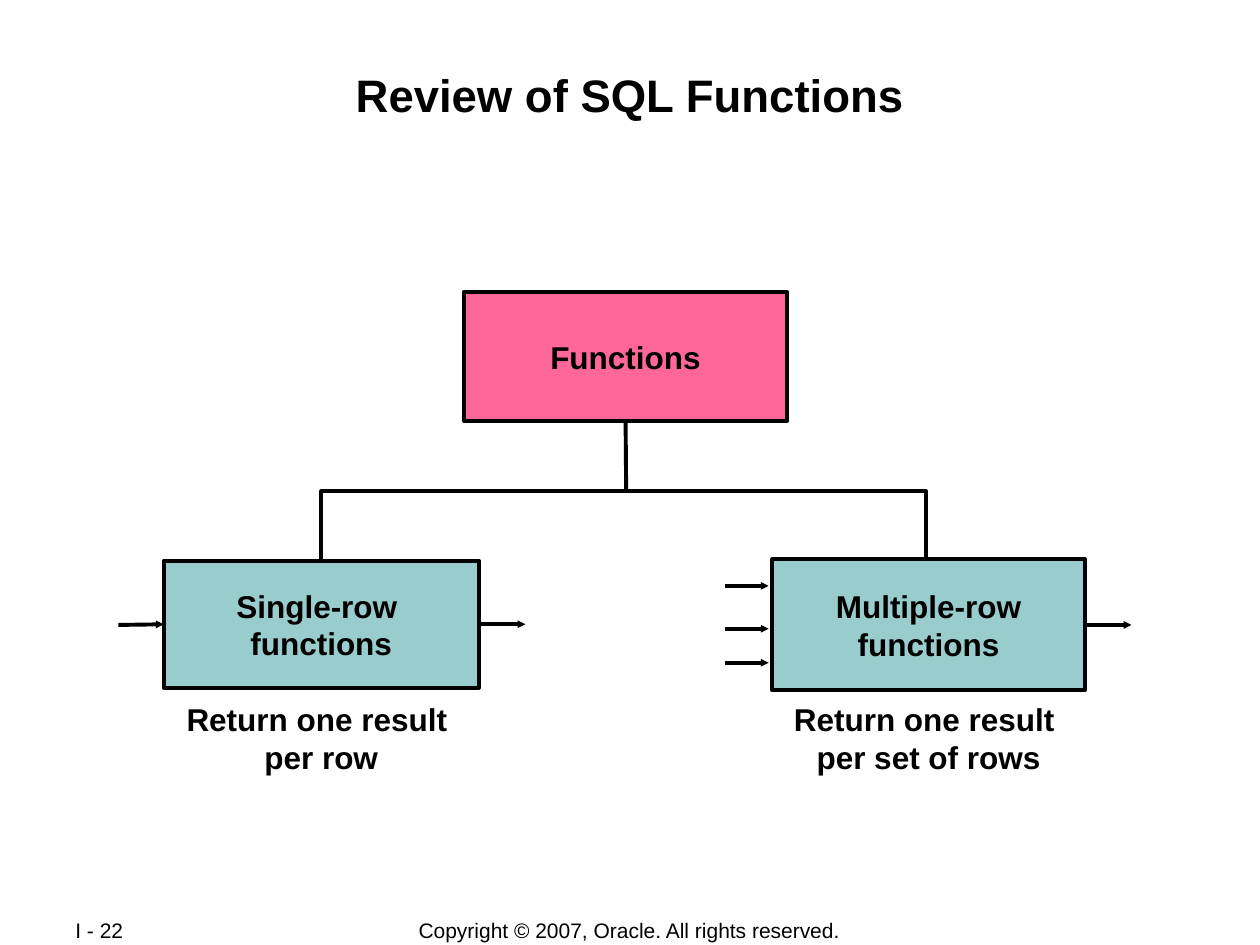
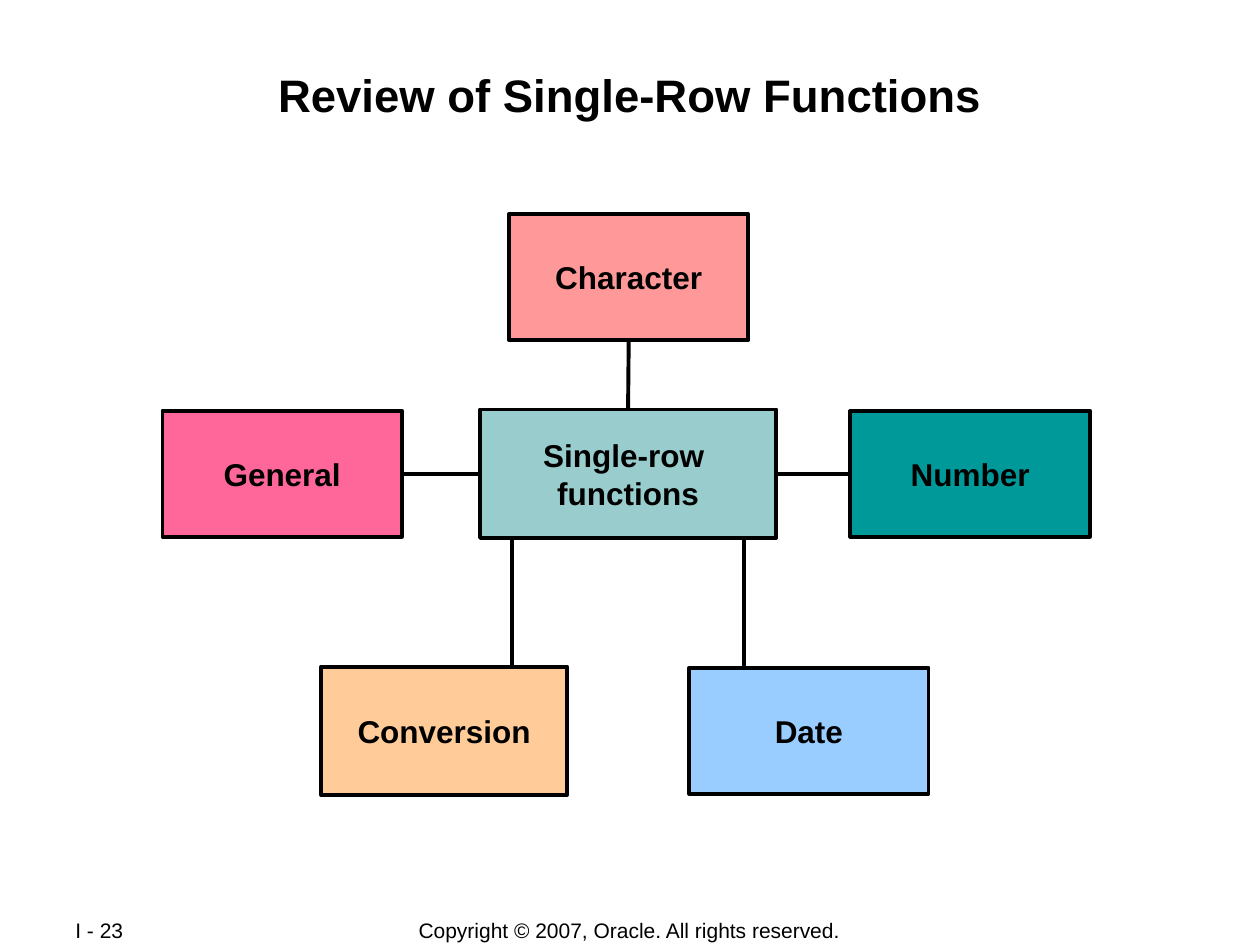
from collections import namedtuple

from lxml import etree
from pptx import Presentation
from pptx import util as u
from pptx.dml.color import RGBColor
from pptx.enum import shapes, text
from pptx.oxml import ns

COLOURS = {
    "ink": "000000",
    "pink": "FF6699",
    "sage": "99CCCC",
    "peach": "FFCC99",
    "sky": "99CCFF",
    "teal": "009999",
    "salmon": "FF9999",
}
FONT = "Arial"
LINE_WIDTH = u.Pt(2.25)
COPYRIGHT = "Copyright © 2007, Oracle. All rights reserved."
TOP, LEFT, BOTTOM, RIGHT = range(4)

Box = namedtuple("Box", "left top width height")
PAGE = Box(0, 0, 10, 7.5)


def colour(name):
    """Return the named colour."""
    return RGBColor.from_string(COLOURS[name])


def inches(*lengths):
    """Convert several lengths given in inches."""
    return [u.Inches(length) for length in lengths]


def write(shape, lines, size, bold=True, align=text.PP_ALIGN.CENTER,
          anchor=text.MSO_ANCHOR.MIDDLE, margin_top=0.05):
    """Fill a shape with one paragraph per line."""
    frame = shape.text_frame
    frame.word_wrap = True
    frame.vertical_anchor = anchor
    frame.margin_left = frame.margin_right = u.Inches(0.1)
    frame.margin_top, frame.margin_bottom = inches(margin_top, 0.05)
    for index, line in enumerate(lines):
        paragraph = frame.add_paragraph() if index else frame.paragraphs[0]
        paragraph.alignment = align
        run = paragraph.add_run()
        run.text = line
        run.font.name = FONT
        run.font.size = u.Pt(size)
        run.font.bold = bold
        run.font.color.rgb = colour("ink")


def add_label(slide, box, lines, size=18, **style):
    """Add a text box."""
    write(slide.shapes.add_textbox(*inches(*box)), lines, size, **style)


def ink_line(shape):
    """Give a shape or connector the common outline."""
    shape.line.color.rgb = colour("ink")
    shape.line.width = LINE_WIDTH


def add_node(slide, box, lines, fill):
    """Add an outlined rectangle with a centred label."""
    node = slide.shapes.add_shape(shapes.MSO_SHAPE.RECTANGLE, *inches(*box))
    node.shadow.inherit = False
    node.fill.solid()
    node.fill.fore_color.rgb = colour(fill)
    ink_line(node)
    write(node, lines, 18)
    return node


def add_line(parent, start, end, arrow=False):
    """Add a straight line, with an arrowhead at its end if asked."""
    line = parent.shapes.add_connector(
        shapes.MSO_CONNECTOR.STRAIGHT, *inches(*start, *end))
    ink_line(line)
    if arrow:
        etree.SubElement(line.line._get_or_add_ln(), ns.qn("a:tailEnd"),
                         type="triangle", w="sm", len="sm")
    etree.SubElement(line._element.spPr, ns.qn("a:effectLst"))
    return line


def join(slide, first, first_side, second, second_side):
    """Connect the middles of two rectangles' sides."""
    line = add_line(slide, (0, 0), (0, 0))
    line.begin_connect(first, first_side)
    line.end_connect(second, second_side)


def add_frame(presentation, title, number, box=PAGE):
    """Add a slide with its title and footer."""
    slide = presentation.slides.add_slide(presentation.slide_layouts[6])
    footer_top = box.top + box.height - 0.22
    add_label(slide, Box(box.left + 2.75, footer_top, 4.49, 0.21),
              [COPYRIGHT], 12, bold=False)
    add_label(slide, Box(box.left + 0.5, footer_top, 1.06, 0.2),
              [f"I - {number}"], 12, bold=False, align=text.PP_ALIGN.LEFT)
    add_label(slide, Box(box.left + 0.67, box.top + 0.48, 8.66, 0.96),
              [title], 26, anchor=text.MSO_ANCHOR.TOP)
    return slide


def add_bracket(slide, box):
    """Draw the fork that opens downwards over two branches."""
    left, top, right, bottom = inches(
        box.left, box.top, box.left + box.width, box.top + box.height)
    builder = slide.shapes.build_freeform(left, bottom)
    builder.add_line_segments(
        [(left, top), (right, top), (right, bottom)], close=False)
    bracket = builder.convert_to_shape()
    bracket.shadow.inherit = False
    bracket.fill.background()
    ink_line(bracket)


def add_branch(slide, box, name, result):
    """Add a function type with its result below and its output arrow."""
    node = add_node(slide, box, name, "sage")
    right, middle = box.left + box.width, box.top + box.height / 2
    output = add_line(slide, (right, middle), (right + 0.37, middle), True)
    output.begin_connect(node, RIGHT)
    add_label(slide, Box(box.left - 0.57, 5.59, box.width + 1.14, 0.53), result)
    return node


def add_function_tree(slide, box):
    """Draw functions split into single-row and multiple-row."""
    left, top = box.left, box.top
    add_bracket(slide, Box(left + 1.61, top + 1.58, 4.8, 0.55))
    root = add_node(slide, Box(left + 2.74, top, 2.57, 1.02),
                    ["Functions"], "pink")
    stem_x = left + 4.03
    add_line(slide, (stem_x, top + 1.02),
             (stem_x, top + 1.58)).begin_connect(root, BOTTOM)

    single = add_branch(slide, Box(left + 0.36, top + 2.13, 2.5, 1.01),
                        ["Single-row ", "functions"],
                        ["Return one result ", "per row"])
    middle = top + 2.64
    add_line(slide, (left, middle), (left + 0.36, middle),
             True).end_connect(single, LEFT)

    add_branch(slide, Box(left + 5.19, top + 2.12, 2.48, 1.04),
               ["Multiple-row", "functions"],
               ["Return one result ", "per set of rows"])
    inputs = slide.shapes.add_group_shape()
    for drop in (2.33, 2.67, 2.94):
        add_line(inputs, (left + 4.81, top + drop),
                 (left + 5.16, top + drop), True)


def add_single_row_map(slide, box):
    """Draw the five kinds of function around the single-row hub."""
    left, top = box.left, box.top
    hub_box = Box(left + 2.52, top + 1.55, 2.35, 1.02)
    hub_middle = hub_box.left + hub_box.width / 2
    for offset in (-0.92, 0.92):
        x = hub_middle + offset
        add_line(slide, (x, hub_box.top + hub_box.height), (x, top + 3.6))
    hub = add_node(slide, hub_box, ["Single-row ", "functions"], "sage")

    kinds = [
        ("Character", "salmon", 2.75, 0, 1.9, 1, (TOP, BOTTOM)),
        ("General", "pink", 0, 1.56, 1.9, 1, (LEFT, RIGHT)),
        ("Number", "teal", 5.46, 1.56, 1.9, 1, (RIGHT, LEFT)),
        ("Conversion", "peach", 1.26, 3.59, 1.95, 1.02, None),
        ("Date", "sky", 4.18, 3.6, 1.9, 1, None),
    ]
    for name, fill, x, y, width, height, sides in kinds:
        node = add_node(slide, Box(left + x, top + y, width, height),
                        [name], fill)
        if sides:
            join(slide, hub, sides[0], node, sides[1])


def main():
    """Build and save both slides."""
    presentation = Presentation()
    presentation.slide_width, presentation.slide_height = inches(
        PAGE.width, PAGE.height)
    slide = add_frame(presentation, "Review of SQL Functions", 22)
    add_function_tree(slide, Box(0.94, 2.32, 8.05, 3.8))
    slide = add_frame(presentation, "Review of Single-Row Functions", 23)
    add_single_row_map(slide, Box(1.29, 1.7, 7.36, 4.61))
    presentation.save("out.pptx")


if __name__ == "__main__":
    main()
